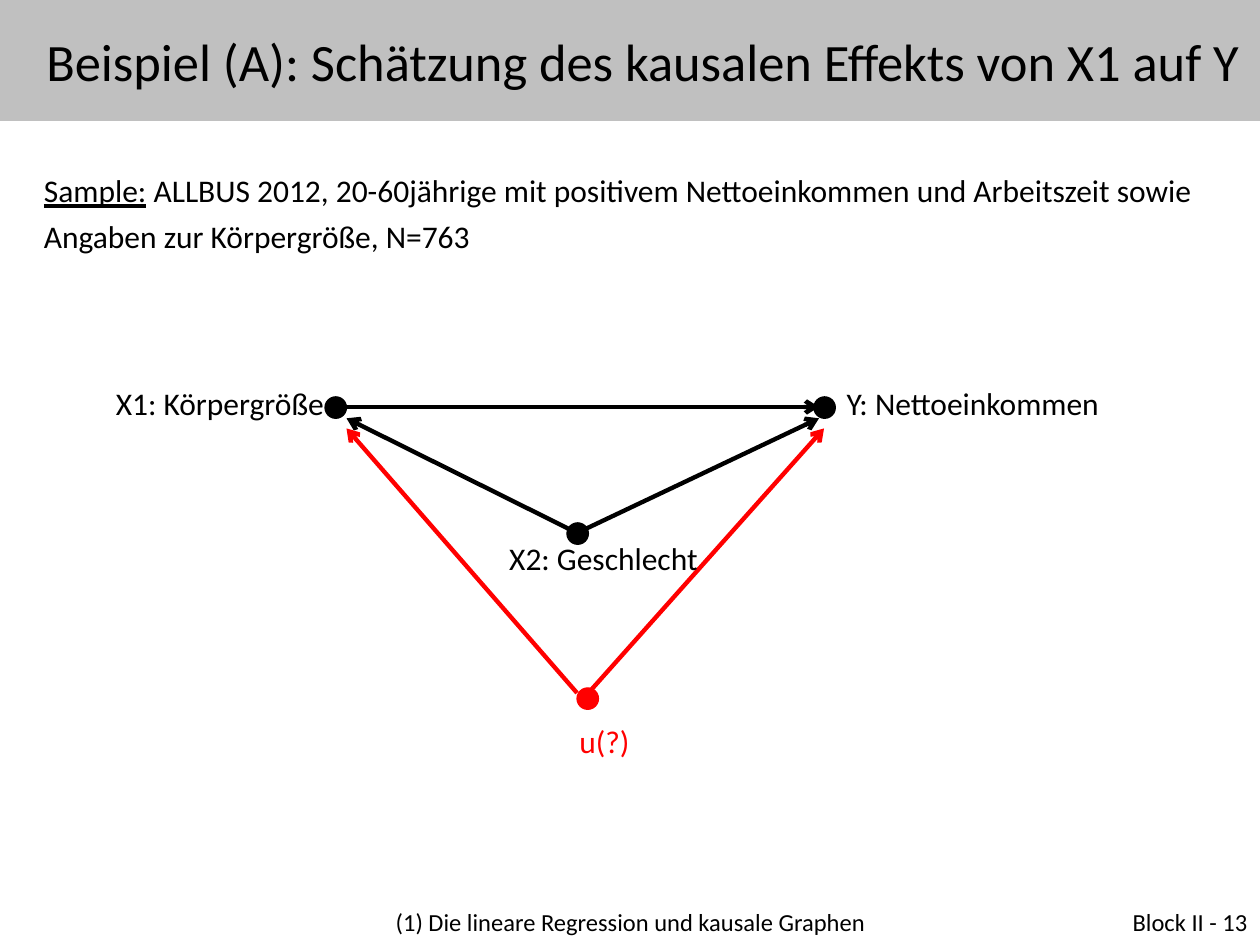
"""Build a slide showing a causal graph of body height and net income."""
import pptx
import pptx.dml.color
import pptx.enum.shapes
import pptx.enum.text
import pptx.oxml.ns
import pptx.util
from lxml import etree
from pptx.util import Inches

BLACK, RED, GREY = "000000", "FF0000", "C0C0C0"
ALIGN = pptx.enum.text.PP_ALIGN
DOT = 0.17


def rgb(value):
    """Return a colour from a hex string."""
    return pptx.dml.color.RGBColor.from_string(value)


def set_all(obj, **values):
    """Set several attributes of an object."""
    for name, value in values.items():
        setattr(obj, name, value)


def fill_shape(sp, color):
    """Give a shape a solid fill."""
    sp.fill.solid()
    sp.fill.fore_color.rgb = rgb(color)


def add_run(p, text, size, color=BLACK, **font):
    """Append a formatted run to a paragraph."""
    r = p.add_run()
    r.text = text
    set_all(r.font, name="Calibri", size=pptx.util.Pt(size), **font)
    r.font.color.rgb = rgb(color)


def add_title(s, text):
    """Fill the title placeholder as a grey band across the top."""
    sp = s.shapes.title
    set_all(sp, left=0, top=0, width=Inches(10), height=Inches(0.96))
    fill_shape(sp, GREY)
    set_all(sp.text_frame, word_wrap=True,
            auto_size=pptx.enum.text.MSO_AUTO_SIZE.NONE,
            vertical_anchor=pptx.enum.text.MSO_ANCHOR.MIDDLE)
    p = sp.text_frame.paragraphs[0]
    p.alignment = ALIGN.CENTER
    pPr = p._p.get_or_add_pPr()
    pPr.set("marL", str(Inches(0.52)))
    pPr.set("indent", str(Inches(-0.31)))
    add_run(p, text, 30)


def add_text(s, box, runs, size=18, color=BLACK, align=ALIGN.LEFT, spacing=1.0):
    """Add a wrapped text box holding one paragraph of (text, font) runs."""
    tf = s.shapes.add_textbox(*map(Inches, box)).text_frame
    tf.word_wrap = True
    p = tf.paragraphs[0]
    set_all(p, alignment=align, line_spacing=spacing)
    for text, font in runs:
        add_run(p, text, size, color, **font)


def add_dot(s, left, top, color):
    """Add a round node of the graph."""
    sp = s.shapes.add_shape(pptx.enum.shapes.MSO_SHAPE.OVAL,
                            *map(Inches, (left, top, DOT, DOT)))
    sp.shadow.inherit = False
    fill_shape(sp, color)
    sp.line.color.rgb = rgb(color)
    sp.line.width = pptx.util.Pt(0.75)


def add_arrow(s, start, end, color):
    """Add a straight arrow of the graph."""
    sp = s.shapes.add_connector(pptx.enum.shapes.MSO_CONNECTOR.STRAIGHT,
                                *map(Inches, start + end))
    sp.line.color.rgb = rgb(color)
    sp.line.width = pptx.util.Pt(2.5)
    qn = pptx.oxml.ns.qn
    etree.SubElement(sp.line._get_or_add_ln(), qn("a:tailEnd"), type="arrow")
    etree.SubElement(sp._element.spPr, qn("a:effectLst"))


def main():
    """Build and save the slide."""
    prs = pptx.Presentation()
    set_all(prs, slide_width=Inches(10), slide_height=Inches(7.5))
    s = prs.slides.add_slide(prs.slide_layouts[5])
    add_title(s, "Beispiel (A): Schätzung des kausalen Effekts von X1 auf Y")
    add_text(s, (0.25, 1.25, 9.58, 1),
             [("Sample:", {"underline": True}),
              (" ALLBUS 2012, 20-60jährige mit positivem Nettoeinkommen und "
               "Arbeitszeit sowie Angaben zur Körpergröße, N=763", {})],
             spacing=1.2)

    for start, end, color in [
        ((2.67, 3.23), (6.5, 3.23), BLACK),
        ((4.58, 4.23), (6.5, 3.32), BLACK),
        ((4.58, 4.23), (2.75, 3.32), BLACK),
        ((4.67, 5.5), (6.54, 3.4), RED),
        ((4.58, 5.5), (2.75, 3.4), RED),
    ]:
        add_arrow(s, start, end, color)

    for left, top, color in [(2.58, 3.15, BLACK), (6.46, 3.15, BLACK),
                             (4.5, 4.15, BLACK), (4.58, 5.46, RED)]:
        add_dot(s, left, top, color)

    for text, box, size, color, align in [
        ("X1: Körpergröße", (0.25, 3, 2.42, 0.4), 18, BLACK, ALIGN.RIGHT),
        ("Y: Nettoeinkommen", (6.62, 3, 2.88, 0.4), 18, BLACK, ALIGN.LEFT),
        ("X2: Geschlecht", (3.58, 4.23, 2.42, 0.4), 18, BLACK, ALIGN.CENTER),
        ("u(?)", (4.5, 5.68, 0.83, 0.4), 18, RED, ALIGN.LEFT),
        ("Block II - 13", (7.67, 7.15, 2.33, 0.52), 14, BLACK, ALIGN.RIGHT),
        ("(1) Die lineare Regression und kausale Graphen",
         (2.42, 7.15, 5.17, 0.52), 14, BLACK, ALIGN.CENTER),
    ]:
        add_text(s, box, [(text, {})], size, color, align)
    prs.save("out.pptx")


if __name__ == "__main__":
    main()
